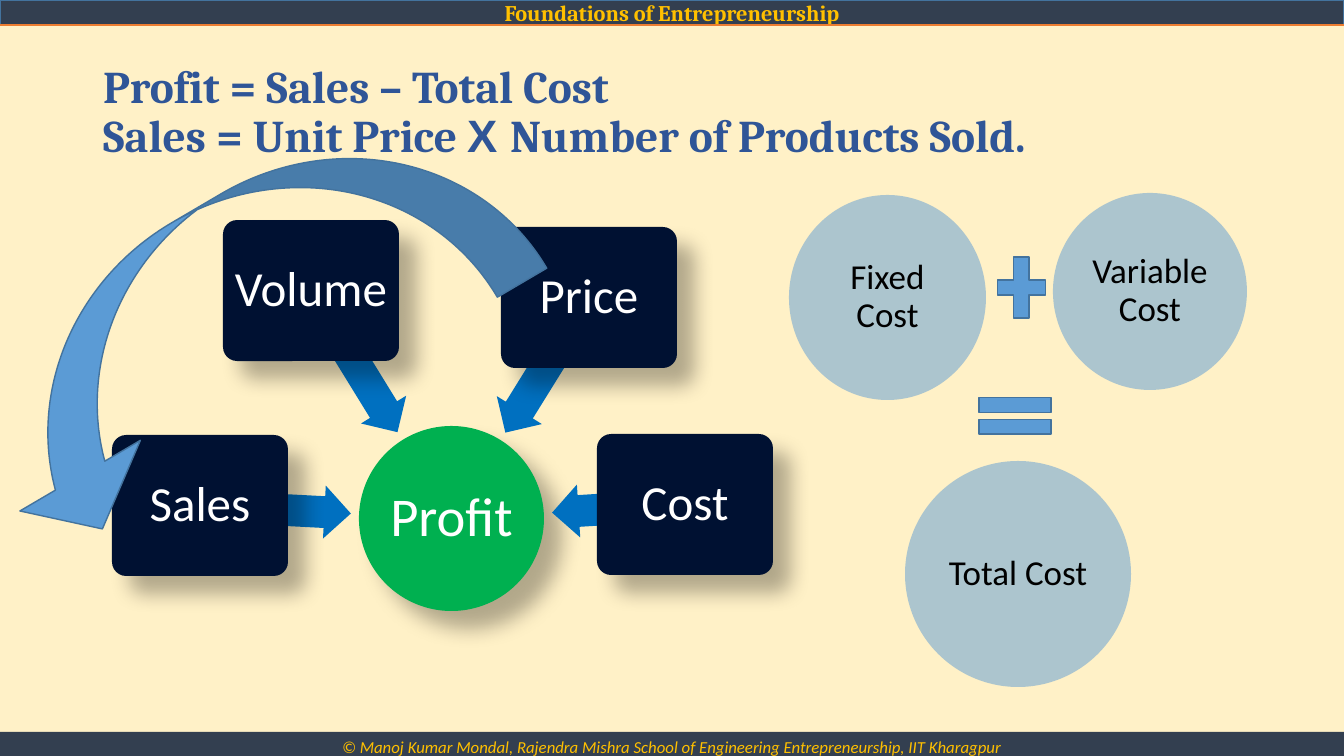
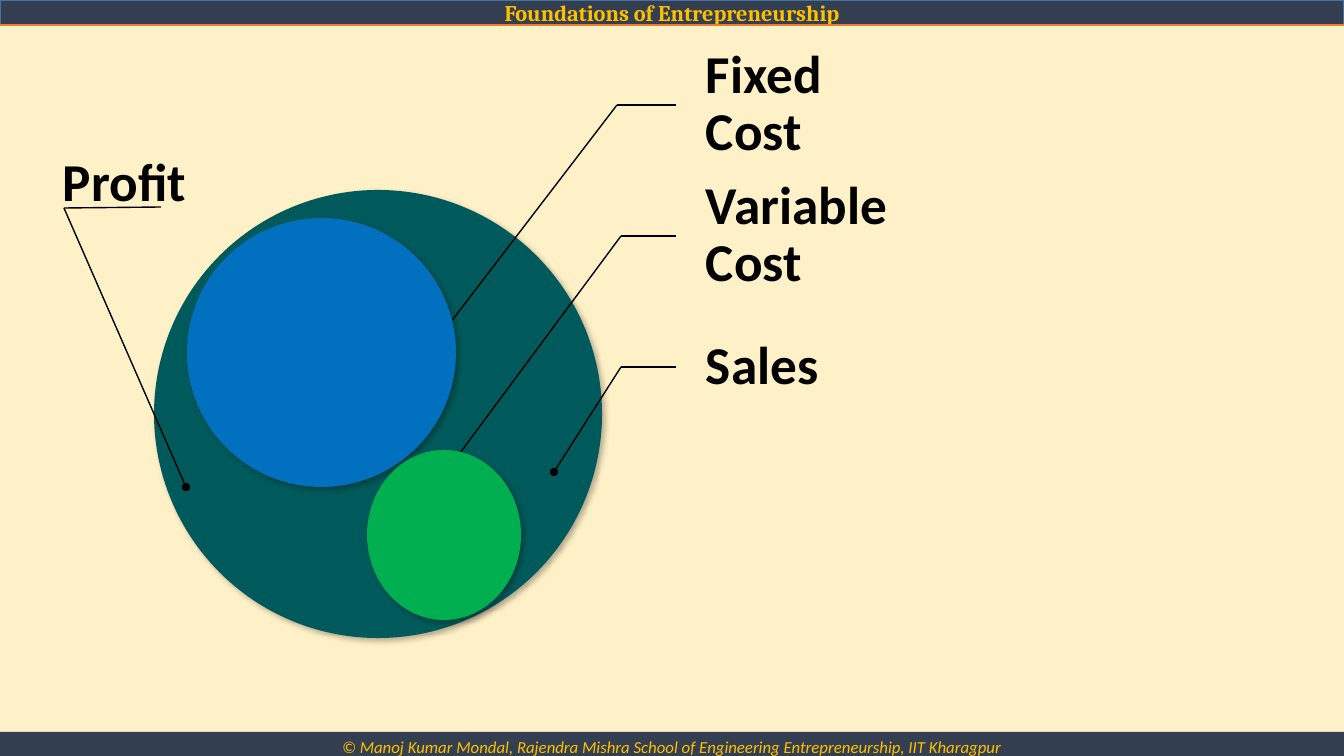
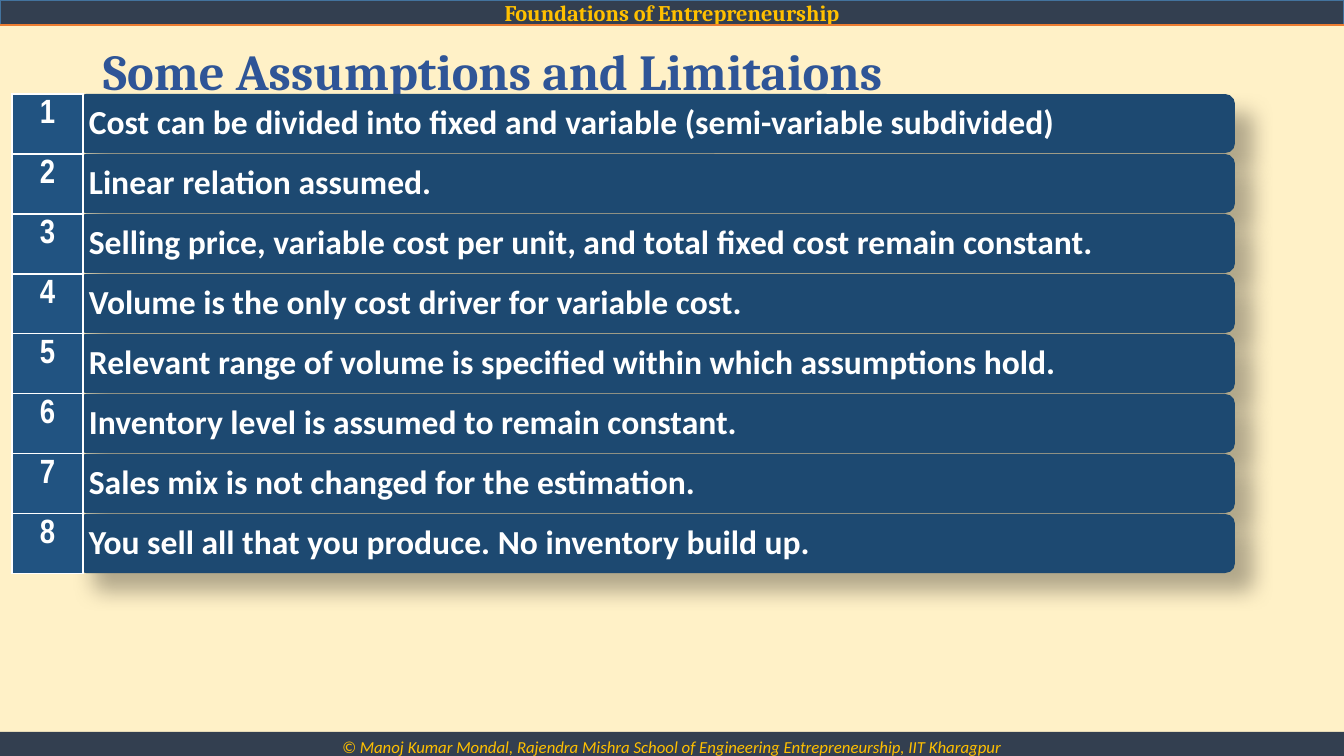
import dataclasses

import lxml.etree
import pptx
import pptx.dml.color
import pptx.enum.shapes
import pptx.enum.text
import pptx.oxml.ns
import pptx.util

SHAPE = pptx.enum.shapes.MSO_SHAPE
ALIGN = pptx.enum.text.PP_ALIGN
ANCHOR = pptx.enum.text.MSO_ANCHOR
WIDTH, HEIGHT = 1344, 756


@dataclasses.dataclass(frozen=True)
class Theme:
    background: str = "FFF1C7"
    band: str = "333F50"
    band_text: str = "FFC000"
    rule: str = "ED7D31"
    outline: str = "43739E"
    title: str = "2F5597"
    white: str = "FFFFFF"
    black: str = "000000"
    driver: str = "001132"
    driver_arrow: str = "0070C0"
    profit: str = "00B050"
    accent: str = "5B9BD5"
    sales_circle: str = "005A5B"
    fixed_circle: str = "0070BF"
    variable_circle: str = "00AF50"
    item: str = "1D4971"
    number: str = "215381"
    heading_font: str = "Cambria"
    body_font: str = "Calibri"
    symbol_font: str = "Arial"
    number_font: str = "Arial Narrow"
    header_size: float = 16
    footer_size: float = 12
    formula_size: float = 32.4
    title_size: float = 36
    profit_size: float = 39
    label_size: float = 38
    driver_size: float = 35
    cost_size: float = 25
    item_size: float = 24
    deep_shadow: tuple = (15, 18)
    soft_shadow: tuple = (4.5, 2.6)


THEME = Theme()


def px(length):
    return pptx.util.Emu(round(length * 914400 / 100.8))


def rgb(color):
    return pptx.dml.color.RGBColor.from_string(color)


def child(parent, tag, **attributes):
    values = {name: str(value) for name, value in attributes.items()}
    return lxml.etree.SubElement(parent, pptx.oxml.ns.qn(tag), values)


def style(paragraph, size, color, font=THEME.body_font, bold=False, italic=False,
          align=ALIGN.CENTER, spacing=0.9):
    paragraph.alignment = align
    paragraph.line_spacing = spacing
    paragraph.font.name = font
    paragraph.font.size = pptx.util.Pt(size)
    paragraph.font.bold = bold
    paragraph.font.italic = italic
    paragraph.font.color.rgb = rgb(color)


def write(box, text, size, color, insets=(10, 5, 10, 5), anchor=ANCHOR.MIDDLE, **look):
    frame = box.text_frame
    frame.word_wrap = True
    frame.vertical_anchor = anchor
    frame.margin_left, frame.margin_top, frame.margin_right, frame.margin_bottom = map(px, insets)
    paragraph = frame.paragraphs[0]
    paragraph.text = text
    style(paragraph, size, color, **look)


def add_shape(page, kind, place, fill, line=None, shadow=None, alpha=None,
              rotation=0, adjustments=()):
    shape = page.shapes.add_shape(kind, *map(px, place))
    shape.rotation = rotation
    for index, value in enumerate(adjustments):
        shape.adjustments[index] = value
    shape.fill.solid()
    shape.fill.fore_color.rgb = rgb(fill)
    if alpha:
        color = shape.element.xpath("./p:spPr/a:solidFill/a:srgbClr")[0]
        child(color, "a:alpha", val=alpha * 1000)
    if line:
        shape.line.color.rgb = rgb(line)
        shape.line.width = pptx.util.Pt(1)
    else:
        shape.line.fill.background()
    shape.shadow.inherit = False
    if shadow:
        blur, distance = shadow
        effects = shape.element.spPr.find(pptx.oxml.ns.qn("a:effectLst"))
        outer = child(effects, "a:outerShdw", blurRad=round(blur * 12700),
                      dist=round(distance * 12700), dir=45 * 60000,
                      algn="tl", rotWithShape=0)
        child(child(outer, "a:srgbClr", val=THEME.black), "a:alpha", val=30000)
    return shape


def add_line(page, start, end, color=THEME.black, width=1, dot=False):
    line = page.shapes.add_connector(pptx.enum.shapes.MSO_CONNECTOR.STRAIGHT,
                                     *map(px, (*start, *end)))
    line.line.color.rgb = rgb(color)
    line.line.width = pptx.util.Pt(width)
    if dot:
        child(line.element.xpath("./p:spPr/a:ln")[0], "a:tailEnd", type="oval")
    child(line.element.spPr, "a:effectLst")
    return line


def add_label(page, text, left, top):
    label = page.shapes.add_textbox(*map(px, (left, top, 224, 130)))
    write(label, text, THEME.label_size, THEME.black, (30, 5, 5, 5),
          bold=True, align=ALIGN.LEFT)
    return label


def set_title(page, top, height, size, lines):
    title = page.shapes.title
    title.left, title.top, title.width, title.height = map(px, (93, top, 1159, height))
    frame = title.text_frame
    frame.auto_size = pptx.enum.text.MSO_AUTO_SIZE.NONE
    frame.vertical_anchor = ANCHOR.MIDDLE
    paragraph = frame.paragraphs[0]
    style(paragraph, size, THEME.title, THEME.heading_font, bold=True, align=ALIGN.LEFT)
    for index, line in enumerate(lines):
        if index:
            paragraph.add_line_break()
        for text, font in line:
            span = paragraph.add_run()
            span.text = text
            if font:
                span.font.name = font


def build_master(deck, page):
    master = deck.slide_master
    master.background.fill.solid()
    master.background.fill.fore_color.rgb = rgb(THEME.background)
    header = add_shape(page, SHAPE.RECTANGLE, (0, 0, WIDTH, 25), THEME.band, THEME.outline)
    write(header, "Foundations of Entrepreneurship", THEME.header_size, THEME.band_text,
          font=THEME.heading_font, bold=True, spacing=1)
    rule = add_line(page, (0, 25), (WIDTH, 25), THEME.rule, 1.5)
    footer = add_shape(page, SHAPE.RECTANGLE, (0, 732, WIDTH, 30), THEME.band)
    write(footer, "© Manoj Kumar Mondal, Rajendra Mishra School of Engineering "
          "Entrepreneurship, IIT Kharagpur", THEME.footer_size, THEME.band_text,
          anchor=ANCHOR.TOP, italic=True, spacing=1)
    for index, part in enumerate((header, rule, footer)):
        part.element.xpath("./*/p:cNvPr")[0].set("id", str(100 + index))
        master.shapes.element.insert(2 + index, part.element)


def build_profit_drivers(page):
    set_title(page, 40, 146, THEME.formula_size, [
        [("Profit = Sales – Total Cost", None)],
        [("Sales = Unit Price ", None), ("X ", THEME.symbol_font),
         ("Number of Products Sold.", None)],
    ])
    profit = add_shape(page, SHAPE.OVAL, (359, 426, 185, 185), THEME.profit,
                       shadow=THEME.deep_shadow)
    write(profit, "Profit", THEME.profit_size, THEME.white, (3, 3, 3, 3))
    drivers = [
        ("Sales", (112, 435), (200, 483, 151), 183),
        ("Volume", (223, 220), (271, 335, 166), 238.4),
        ("Cost", (597, 434), (552, 482, 133), 356.4),
        ("Price", (501, 227), (468, 339, 158), 301.8),
    ]
    for name, corner, (left, top, length), rotation in drivers:
        add_shape(page, SHAPE.LEFT_ARROW, (left, top, length, 53), THEME.driver_arrow,
                  rotation=rotation, adjustments=(0.6, 0.5))
        driver = add_shape(page, SHAPE.ROUNDED_RECTANGLE, (*corner, 176, 141), THEME.driver,
                           shadow=THEME.deep_shadow, adjustments=(0.1,))
        write(driver, name, THEME.driver_size, THEME.white, (7, 7, 7, 7))
    costs = [
        ("Fixed Cost", (789, 195, 197, 205)),
        ("Total Cost", (905, 461, 226, 226)),
        ("Variable Cost", (1053, 193, 194, 197)),
    ]
    for name, place in costs:
        cost = add_shape(page, SHAPE.OVAL, place, THEME.accent, alpha=50)
        write(cost, name, THEME.cost_size, THEME.black, (10, 10, 10, 10))
    add_shape(page, SHAPE.MATH_PLUS, (989, 246, 65, 83), THEME.accent, THEME.outline)
    add_shape(page, SHAPE.MATH_EQUAL, (966, 385, 98, 62), THEME.accent, THEME.outline)
    add_shape(page, SHAPE.CURVED_UP_ARROW, (-56, 203, 585, 229), THEME.accent, THEME.outline,
              rotation=149.6, adjustments=(0.25, 0.61, 0.25))


def build_cost_circles(page):
    add_shape(page, SHAPE.OVAL, (154, 190, 448, 448), THEME.sales_circle,
              shadow=THEME.soft_shadow)
    callouts = [
        ("Fixed Cost", 617, (382, 412)),
        ("Variable Cost", 621, (443, 476)),
        ("Sales", 621, (554, 472)),
    ]
    for index, (name, bend, tip) in enumerate(callouts):
        top = 40 + 131 * index
        middle = top + 65
        label = add_label(page, name, 676, top)
        shelf = add_line(page, (bend, middle), (676, middle))
        shelf.end_connect(label, 1)
        add_line(page, (bend, middle), tip, dot=True)
    add_line(page, (64, 208), (161, 207))
    add_line(page, (64, 208), (186, 487), dot=True)
    add_label(page, "Profit", 33, 119)
    add_shape(page, SHAPE.OVAL, (187, 218, 269, 269), THEME.fixed_circle,
              shadow=THEME.soft_shadow)
    add_shape(page, SHAPE.OVAL, (367, 450, 154, 170), THEME.variable_circle,
              shadow=THEME.soft_shadow)


def add_number_table(page, count, top, pitch):
    table = page.shapes.add_table(count, 1, *map(px, (12, top, 71, pitch * count))).table
    table.first_row = False
    table.horz_banding = False
    for index in range(count):
        table.rows[index].height = px(pitch)
        cell = table.cell(index, 0)
        cell.text = str(index + 1)
        style(cell.text_frame.paragraphs[0], THEME.item_size, THEME.white,
              THEME.number_font, bold=True, spacing=1)
        properties = cell._tc.get_or_add_tcPr()
        for side in ("a:lnL", "a:lnR", "a:lnT", "a:lnB"):
            border = child(properties, side, w=12700)
            child(child(border, "a:solidFill"), "a:srgbClr", val=THEME.white)
        cell.fill.solid()
        cell.fill.fore_color.rgb = rgb(THEME.number)


def build_assumptions(page):
    set_title(page, 40, 68, THEME.title_size, [[("Some Assumptions and Limitaions", None)]])
    items = [
        "Cost can be divided into fixed and variable (semi-variable subdivided)",
        "Linear relation assumed.",
        "Selling price, variable cost per unit, and total fixed cost remain constant.",
        "Volume is the only cost driver for variable cost.",
        "Relevant range of volume is specified within which assumptions hold.",
        "Inventory level is assumed to remain constant.",
        "Sales mix is not changed for the estimation.",
        "You sell all that you produce. No inventory build up.",
    ]
    top, pitch = 94, 60
    for index, text in enumerate(items):
        item = add_shape(page, SHAPE.ROUNDED_RECTANGLE, (76, top + pitch * index, 1159, 59),
                         THEME.item, shadow=THEME.deep_shadow)
        write(item, text, THEME.item_size, THEME.white, (10, 10, 10, 10),
              bold=True, align=ALIGN.LEFT)
    add_number_table(page, len(items), top, pitch)


def main():
    deck = pptx.Presentation()
    deck.slide_width, deck.slide_height = px(WIDTH), px(HEIGHT)
    title_only, blank = deck.slide_layouts[5], deck.slide_layouts[6]
    drivers = deck.slides.add_slide(title_only)
    build_master(deck, drivers)
    build_profit_drivers(drivers)
    build_cost_circles(deck.slides.add_slide(blank))
    build_assumptions(deck.slides.add_slide(title_only))
    deck.save("out.pptx")


if __name__ == "__main__":
    main()
